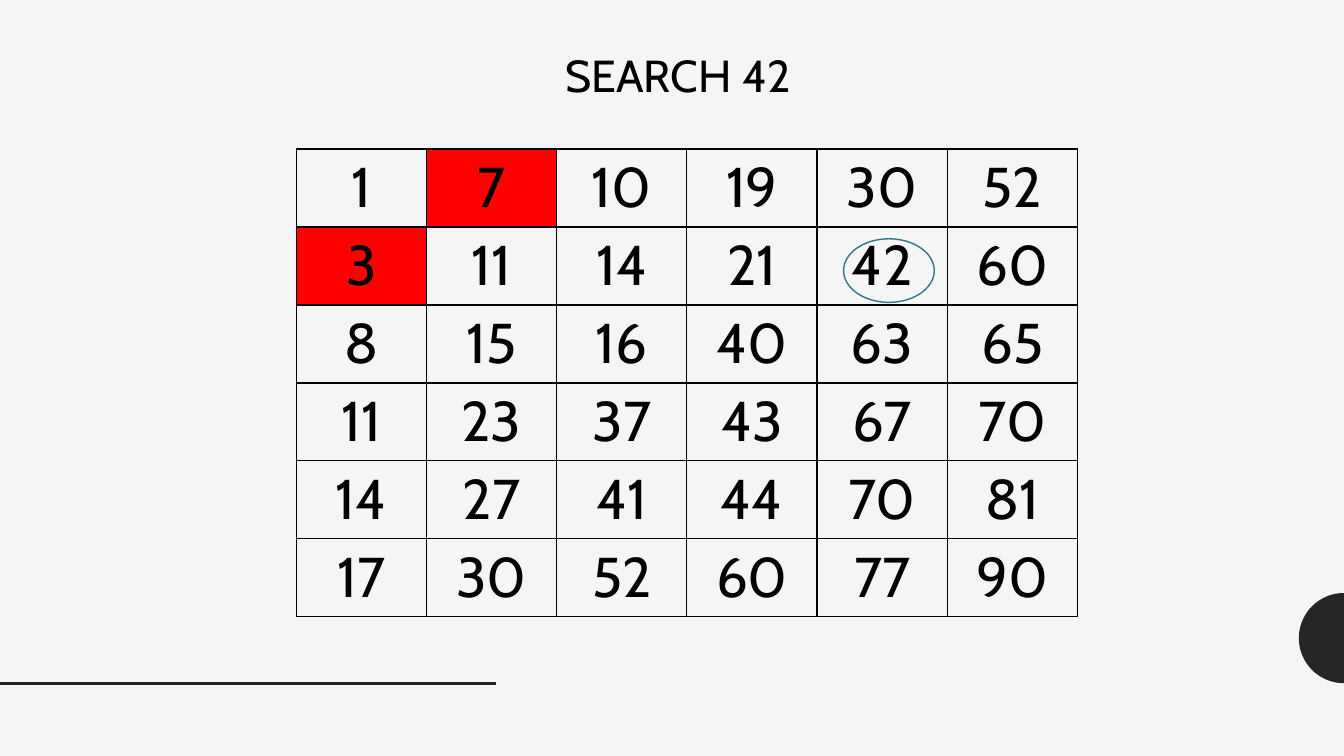
import math
from dataclasses import dataclass

from lxml import etree
from pptx import Presentation
from pptx.dml.color import RGBColor
from pptx.enum.shapes import MSO_CONNECTOR, MSO_SHAPE
from pptx.enum.text import MSO_ANCHOR, PP_ALIGN
from pptx.oxml.ns import qn
from pptx.slide import Slide
from pptx.table import _Cell
from pptx.text.text import _Paragraph
from pptx.util import Pt

BACKGROUND = RGBColor(0xF5, 0xF5, 0xF5)
BLACK = RGBColor(0, 0, 0)
DARK = RGBColor(0x26, 0x26, 0x26)
RED = RGBColor(0xFF, 0, 0)
TEAL = RGBColor(0x32, 0x75, 0x87)
FONT = "Cabin"
WIDTH, HEIGHT = 960, 540

MATRIX = [
    [1, 7, 10, 19, 30, 52],
    [3, 11, 14, 21, 42, 60],
    [8, 15, 16, 40, 63, 65],
    [11, 23, 37, 43, 67, 70],
    [14, 27, 41, 44, 70, 81],
    [17, 30, 52, 60, 77, 90],
]
REJECTED = {(0, 1), (1, 0)}


@dataclass(frozen=True)
class Box:
    """A rectangle in points."""

    left: float
    top: float
    width: float
    height: float

    def emu(self) -> tuple[Pt, Pt, Pt, Pt]:
        """Return the four lengths for python-pptx."""
        return Pt(self.left), Pt(self.top), Pt(self.width), Pt(self.height)


def write(paragraph: _Paragraph, text: str, size: float) -> None:
    """Put one black run into a paragraph."""
    run = paragraph.add_run()
    run.text = text
    run.font.name = FONT
    run.font.size = Pt(size)
    run.font.color.rgb = BLACK


def add_borders(cell: _Cell, width: float, color: RGBColor) -> None:
    """Draw a line on all four sides of a cell."""
    properties = cell._tc.get_or_add_tcPr()
    for index, side in enumerate(("lnL", "lnR", "lnT", "lnB")):
        line = etree.Element(qn(f"a:{side}"), w=str(Pt(width)))
        fill = etree.SubElement(line, qn("a:solidFill"))
        etree.SubElement(fill, qn("a:srgbClr"), val=str(color))
        properties.insert(index, line)


def add_matrix(slide: Slide, box: Box) -> None:
    """Add the sorted matrix with the rejected cells in red."""
    rows, columns = len(MATRIX), len(MATRIX[0])
    table = slide.shapes.add_table(rows, columns, *box.emu()).table
    table.first_row = table.horz_banding = False
    for r, values in enumerate(MATRIX):
        for c, value in enumerate(values):
            cell = table.cell(r, c)
            if (r, c) in REJECTED:
                cell.fill.solid()
                cell.fill.fore_color.rgb = RED
            else:
                cell.fill.background()
            add_borders(cell, 1, BLACK)
            cell.vertical_anchor = MSO_ANCHOR.TOP
            paragraph = cell.text_frame.paragraphs[0]
            paragraph.alignment = PP_ALIGN.CENTER
            write(paragraph, str(value), 40)


def add_half_disc(slide: Slide, center_y: float, radius: float) -> None:
    """Add a dark half disc against the right edge."""
    angles = [math.pi * (0.5 + step / 48) for step in range(49)]
    points = [(Pt(WIDTH + radius * math.cos(a)), Pt(center_y - radius * math.sin(a)))
              for a in angles]
    builder = slide.shapes.build_freeform(*points[0], scale=1.0)
    builder.add_line_segments(points[1:], close=True)
    disc = builder.convert_to_shape()
    disc.shadow.inherit = False
    disc.fill.solid()
    disc.fill.fore_color.rgb = DARK
    disc.line.fill.background()


def add_footer_line(slide: Slide, y: float, length: float) -> None:
    """Add a dark line from the left edge."""
    line = slide.shapes.add_connector(
        MSO_CONNECTOR.STRAIGHT, Pt(0), Pt(y), Pt(length), Pt(y))
    line.line.color.rgb = DARK
    line.line.width = Pt(2)
    etree.SubElement(line._element.spPr, qn("a:effectLst"))


def add_target_ring(slide: Slide, box: Box) -> None:
    """Circle the value that is searched for."""
    ring = slide.shapes.add_shape(MSO_SHAPE.OVAL, *box.emu())
    ring.shadow.inherit = False
    ring.fill.background()
    ring.line.color.rgb = TEAL
    ring.line.width = Pt(1)


def add_title(slide: Slide, box: Box, text: str) -> None:
    """Add the slide heading."""
    frame = slide.shapes.add_textbox(*box.emu()).text_frame
    frame.word_wrap = True
    write(frame.paragraphs[0], text, 32)


def main() -> None:
    """Build and save the slide."""
    deck = Presentation()
    deck.slide_width, deck.slide_height = Pt(WIDTH), Pt(HEIGHT)
    slide = deck.slides.add_slide(deck.slide_layouts[6])
    slide.background.fill.solid()
    slide.background.fill.fore_color.rgb = BACKGROUND
    add_half_disc(slide, center_y=455.8, radius=32.2)
    add_footer_line(slide, y=488.2, length=354.2)
    add_matrix(slide, Box(211.7, 106.4, 558, 334.2))
    add_target_ring(slide, Box(602.6, 170.6, 64.8, 45.4))
    add_title(slide, Box(396.7, 30.2, 468.7, 46), "SEARCH 42")
    deck.save("out.pptx")


main()
